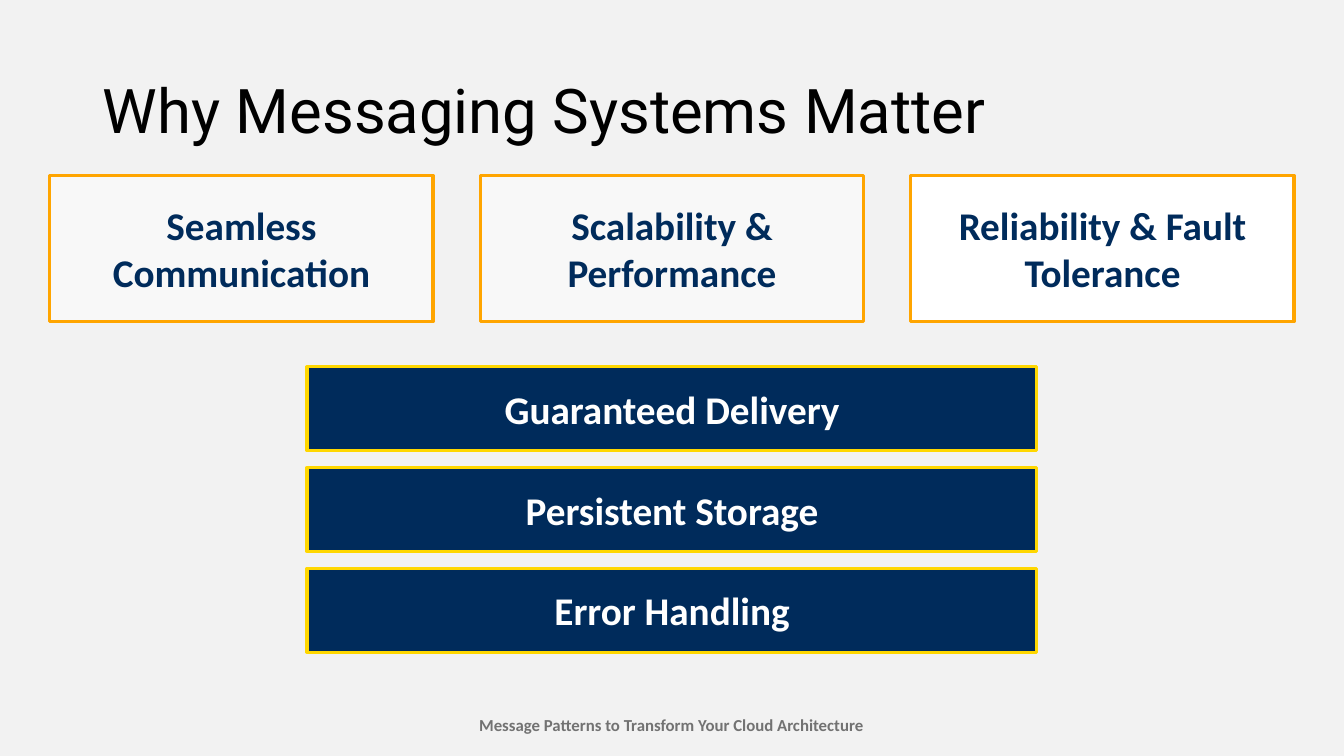
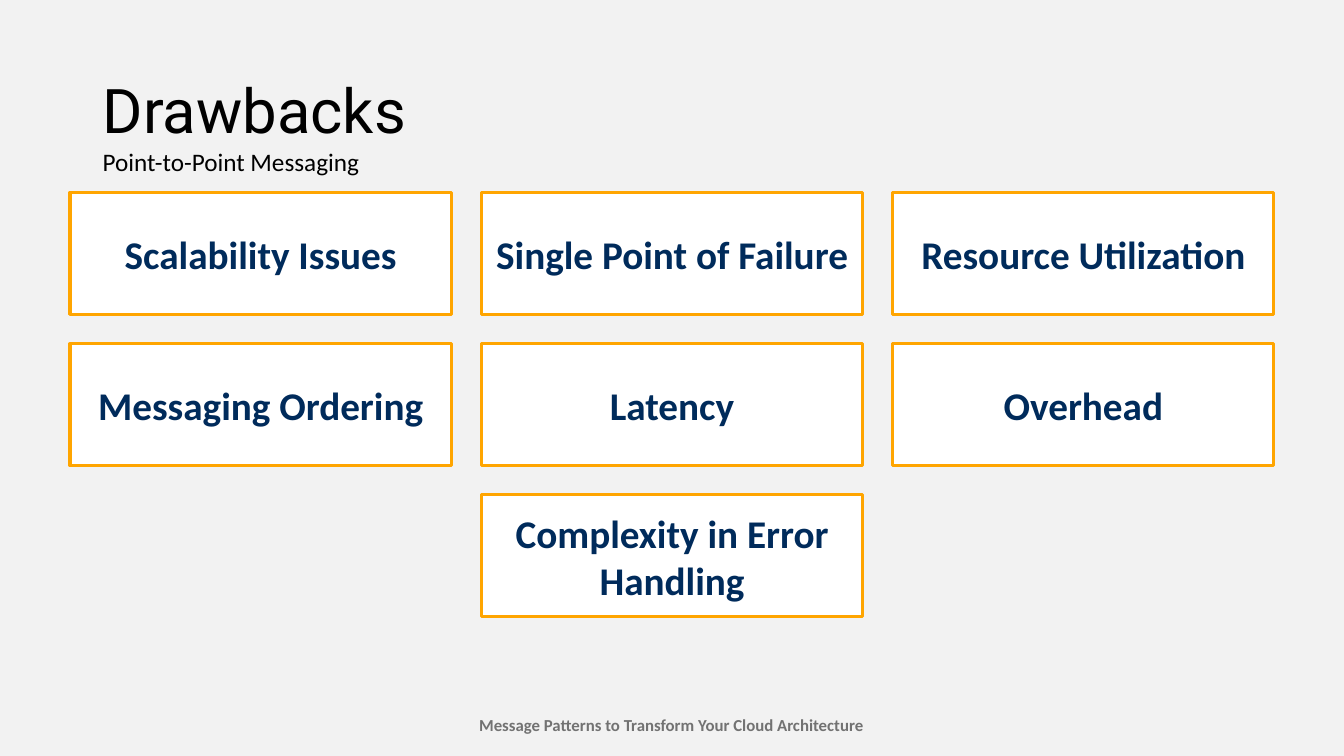
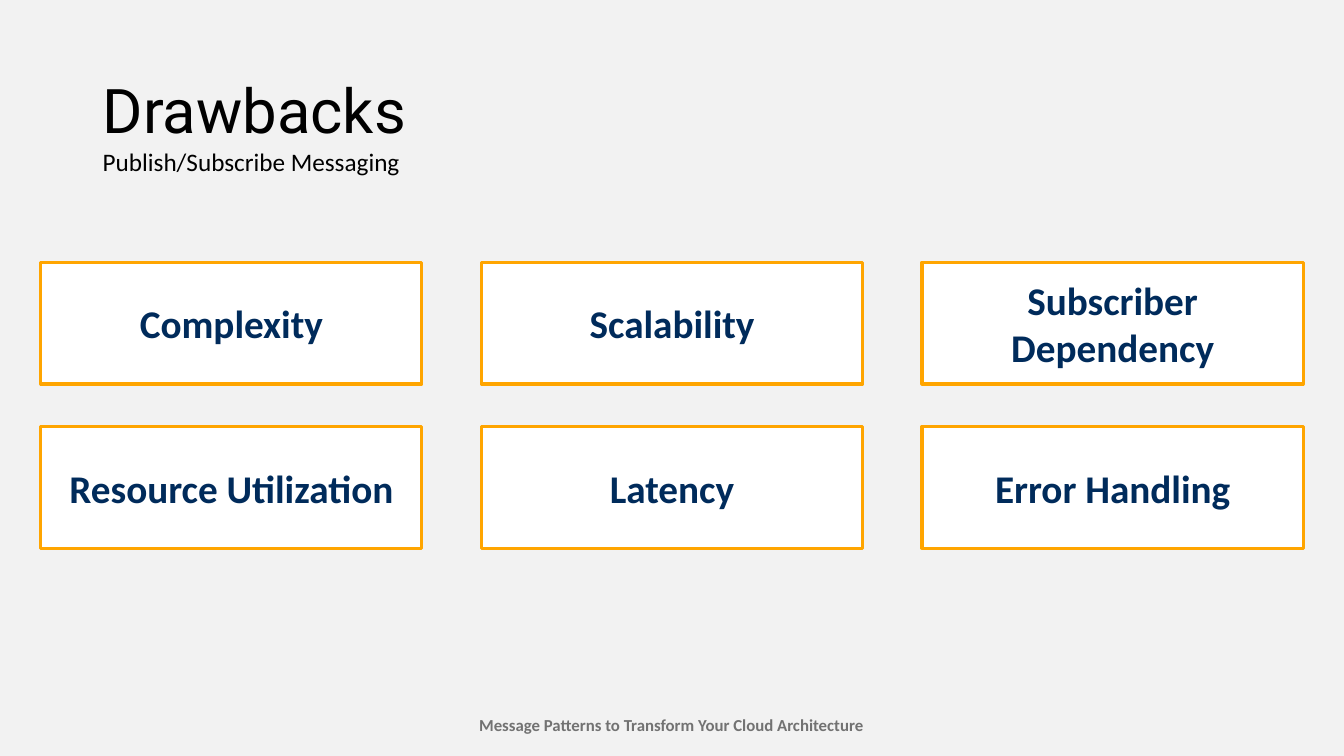
from dataclasses import dataclass

from lxml import etree
from pptx import Presentation
from pptx.dml.color import RGBColor
from pptx.enum.shapes import MSO_SHAPE
from pptx.enum.text import MSO_ANCHOR, MSO_AUTO_SIZE, PP_ALIGN
from pptx.oxml.ns import qn
from pptx.slide import Slide
from pptx.text.text import TextFrame
from pptx.util import Inches, Pt

COLORS = {
    "background": "F2F2F2",
    "black": "000000",
    "white": "FFFFFF",
    "navy": "002B5B",
    "gold": "FFD700",
    "orange": "FFA500",
    "gray": "727272",
}
TITLE_FONT = "Roboto"
BODY_FONT = "Calibri"
FOOTER = "Message Patterns to Transform Your Cloud Architecture"
SLIDE_WIDTH = 13.33
SLIDE_HEIGHT = 7.5


@dataclass(frozen=True)
class BoxStyle:
    fill: str
    line: str
    text: str


CARD = BoxStyle("white", "orange", "navy")
BAR = BoxStyle("navy", "gold", "white")


@dataclass(frozen=True)
class BoxGrid:
    """Rows of equal boxes, each row centred across the slide."""
    rows: list[list[str]]
    top: float
    width: float
    height: float
    column_gap: float = 0
    row_gap: float = 0
    style: BoxStyle = CARD
    translucent: tuple[str, ...] = ()


@dataclass(frozen=True)
class SlideContent:
    title: str
    grids: list[BoxGrid]
    subtitle: str = ""
    subtitle_width: float = 0


SLIDES = [
    SlideContent(
        "Why Messaging Systems Matter",
        [
            BoxGrid(
                [["Seamless Communication", "Scalability & Performance",
                  "Reliability & Fault Tolerance"]],
                top=1.74, width=3.8, height=1.45, column_gap=0.47,
                translucent=("Seamless Communication", "Scalability & Performance"),
            ),
            BoxGrid(
                [["Guaranteed Delivery"], ["Persistent Storage"], ["Error Handling"]],
                top=3.64, width=7.24, height=0.83, row_gap=0.17, style=BAR,
            ),
        ],
    ),
    SlideContent(
        "Drawbacks",
        [
            BoxGrid(
                [["Scalability Issues", "Single Point of Failure", "Resource Utilization"],
                 ["Messaging Ordering", "Latency", "Overhead"],
                 ["Complexity in Error Handling"]],
                top=1.91, width=3.78, height=1.21, column_gap=0.3, row_gap=0.29,
            ),
        ],
        "Point-to-Point Messaging", 3.3,
    ),
    SlideContent(
        "Drawbacks",
        [
            BoxGrid(
                [["Complexity", "Scalability", "Subscriber Dependency"],
                 ["Resource Utilization", "Latency", "Error Handling"]],
                top=2.6, width=3.78, height=1.21, column_gap=0.59, row_gap=0.42,
            ),
        ],
        "Publish/Subscribe Messaging", 3.88,
    ),
]


def rgb(name: str) -> RGBColor:
    return RGBColor.from_string(COLORS[name])


def write_text(text_frame: TextFrame, text: str, size: float, color: str,
               font: str = BODY_FONT, bold: bool = False,
               alignment: PP_ALIGN = PP_ALIGN.LEFT) -> None:
    text_frame.text = text
    paragraph = text_frame.paragraphs[0]
    paragraph.alignment = alignment
    run_font = paragraph.runs[0].font
    run_font.name = font
    run_font.size = Pt(size)
    run_font.bold = bold
    run_font.color.rgb = rgb(color)


def add_title(slide: Slide, text: str) -> None:
    title = slide.shapes.title
    title.left, title.top = Inches(0.92), Inches(0.4)
    title.width, title.height = Inches(11.5), Inches(1.45)
    text_frame = title.text_frame
    text_frame.auto_size = MSO_AUTO_SIZE.NONE
    text_frame.vertical_anchor = MSO_ANCHOR.MIDDLE
    write_text(text_frame, text, 44, "black", TITLE_FONT)
    text_frame.paragraphs[0].line_spacing = 0.9


def add_label(slide: Slide, text: str, left: float, top: float, width: float,
              height: float, size: float, color: str, bold: bool = False,
              alignment: PP_ALIGN = PP_ALIGN.LEFT) -> None:
    """Add one unwrapped line of text."""
    label = slide.shapes.add_textbox(
        Inches(left), Inches(top), Inches(width), Inches(height))
    label.text_frame.word_wrap = False
    label.text_frame.auto_size = MSO_AUTO_SIZE.SHAPE_TO_FIT_TEXT
    write_text(label.text_frame, text, size, color, bold=bold, alignment=alignment)


def add_box(slide: Slide, text: str, left: float, top: float, grid: BoxGrid) -> None:
    box = slide.shapes.add_shape(
        MSO_SHAPE.RECTANGLE, Inches(left), Inches(top),
        Inches(grid.width), Inches(grid.height))
    box.shadow.inherit = False
    box.fill.solid()
    box.fill.fore_color.rgb = rgb(grid.style.fill)
    if text in grid.translucent:
        fill_color = box._element.spPr.find(qn("a:solidFill")).find(qn("a:srgbClr"))
        etree.SubElement(fill_color, qn("a:alpha"), val="50000")
    box.line.color.rgb = rgb(grid.style.line)
    box.line.width = Pt(2.25)
    box.text_frame.word_wrap = True
    box.text_frame.vertical_anchor = MSO_ANCHOR.MIDDLE
    write_text(box.text_frame, text, 28, grid.style.text, bold=True,
               alignment=PP_ALIGN.CENTER)


def add_grid(slide: Slide, grid: BoxGrid) -> None:
    column_step = grid.width + grid.column_gap
    row_step = grid.height + grid.row_gap
    for row_index, row in enumerate(grid.rows):
        row_width = len(row) * column_step - grid.column_gap
        row_left = (SLIDE_WIDTH - row_width) / 2
        for column_index, text in enumerate(row):
            add_box(slide, text, row_left + column_index * column_step,
                    grid.top + row_index * row_step, grid)


def main() -> None:
    presentation = Presentation()
    presentation.slide_width = Inches(SLIDE_WIDTH)
    presentation.slide_height = Inches(SLIDE_HEIGHT)
    background = presentation.slide_master.background.fill
    background.solid()
    background.fore_color.rgb = rgb("background")
    title_only = presentation.slide_layouts.get_by_name("Title Only")

    for content in SLIDES:
        slide = presentation.slides.add_slide(title_only)
        add_title(slide, content.title)
        add_label(slide, FOOTER, 4.63, 7.04, 4.06, 0.3, 12, "gray",
                  bold=True, alignment=PP_ALIGN.CENTER)
        for grid in content.grids:
            add_grid(slide, grid)
        if content.subtitle:
            add_label(slide, content.subtitle, 0.92, 1.4,
                      content.subtitle_width, 0.4, 18, "black")
    presentation.save("out.pptx")


if __name__ == "__main__":
    main()
